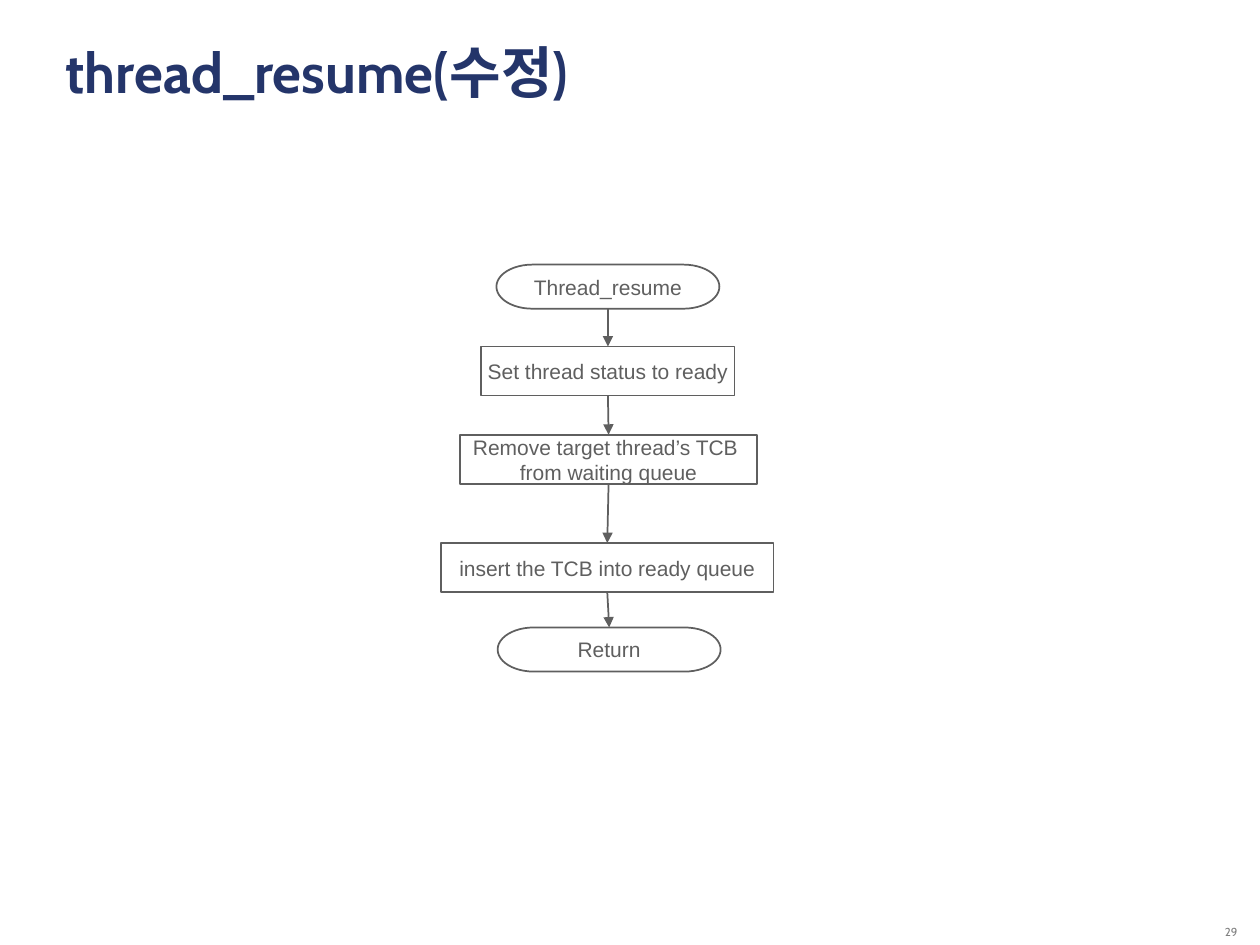
from lxml import etree
from pptx import Presentation
from pptx.dml.color import RGBColor
from pptx.enum import shapes, text
from pptx.oxml.ns import qn
from pptx.util import Inches, Pt

COLORS = {"title": "24356A", "ink": "5F5F5F", "paper": "FFFFFF", "number": "808080"}
TERMINATOR = shapes.MSO_SHAPE.FLOWCHART_TERMINATOR
PROCESS = shapes.MSO_SHAPE.RECTANGLE
TOP, BOTTOM = 0, 2

# kind, wording, left, top, width, height
STEPS = [
    (TERMINATOR, "Thread_resume", 3.94, 2.10, 1.77, 0.35),
    (PROCESS, "Set thread status to ready", 3.82, 2.75, 2.01, 0.39),
    (PROCESS, "Remove target thread’s TCB \nfrom waiting queue", 3.65, 3.45, 2.36, 0.39),
    (PROCESS, "insert the TCB into ready queue", 3.50, 4.31, 2.64, 0.39),
    (TERMINATOR, "Return", 3.95, 4.98, 1.77, 0.35),
]


def rgb(name):
    return RGBColor.from_string(COLORS[name])


def write(frame, wording, *, size, color, font="Arial", bold=False, wrap=True,
          align=text.PP_ALIGN.LEFT, anchor=text.MSO_ANCHOR.TOP, line_spacing=None):
    """Fill a text frame, one paragraph for each line of the wording."""
    frame.auto_size = text.MSO_AUTO_SIZE.NONE
    frame.word_wrap = wrap
    frame.vertical_anchor = anchor
    frame.text = wording
    for paragraph in frame.paragraphs:
        paragraph.alignment = align
        paragraph.line_spacing = line_spacing
        for run in paragraph.runs:
            run.font.name = font
            run.font.size = Pt(size)
            run.font.bold = bold
            run.font.color.rgb = rgb(color)


class FlowSlide:
    """Holds the line style and the slide being drawn."""

    def __init__(self, slide, line_width=1):
        self.slide = slide
        self.line_width = Pt(line_width)

    def title(self, wording, left, top, width, height):
        heading = self.slide.shapes.title
        heading.left, heading.top = Inches(left), Inches(top)
        heading.width, heading.height = Inches(width), Inches(height)
        write(heading.text_frame, wording, size=32, color="title", font="Cabin", bold=True)

    def page_number(self, wording, left, top, width, height):
        number = self.slide.shapes.add_textbox(
            Inches(left), Inches(top), Inches(width), Inches(height))
        write(number.text_frame, wording, size=6.6, color="number", font="Cabin",
              align=text.PP_ALIGN.RIGHT, anchor=text.MSO_ANCHOR.BOTTOM, line_spacing=0.8)

    def step(self, kind, wording, left, top, width, height):
        step = self.slide.shapes.add_shape(
            kind, Inches(left), Inches(top), Inches(width), Inches(height))
        step.shadow.inherit = False
        step.fill.solid()
        step.fill.fore_color.rgb = rgb("paper")
        self.outline(step.line)
        write(step.text_frame, wording, size=12, color="ink", wrap=False,
              align=text.PP_ALIGN.CENTER, anchor=text.MSO_ANCHOR.MIDDLE)
        return step

    def arrow(self, source, target):
        """Join the bottom of one step to the top of the next."""
        arrow = self.slide.shapes.add_connector(shapes.MSO_CONNECTOR.STRAIGHT, 0, 0, 0, 0)
        arrow.begin_connect(source, BOTTOM)
        arrow.end_connect(target, TOP)
        self.outline(arrow.line)
        etree.SubElement(arrow.line._get_or_add_ln(), qn("a:tailEnd"), type="triangle")
        etree.SubElement(arrow._element.spPr, qn("a:effectLst"))

    def outline(self, line):
        line.color.rgb = rgb("ink")
        line.width = self.line_width


def main():
    deck = Presentation()
    deck.slide_width, deck.slide_height = Inches(10), Inches(7.5)
    title_only = deck.slide_layouts[5]
    flow = FlowSlide(deck.slides.add_slide(title_only))
    flow.page_number("29", 8.92, 7.25, 1, 0.25)
    flow.title("thread_resume(수정)", 0.42, 0.25, 9.03, 1.22)
    steps = [flow.step(*step) for step in STEPS]
    for source, target in zip(steps, steps[1:]):
        flow.arrow(source, target)
    deck.save("out.pptx")


if __name__ == "__main__":
    main()
